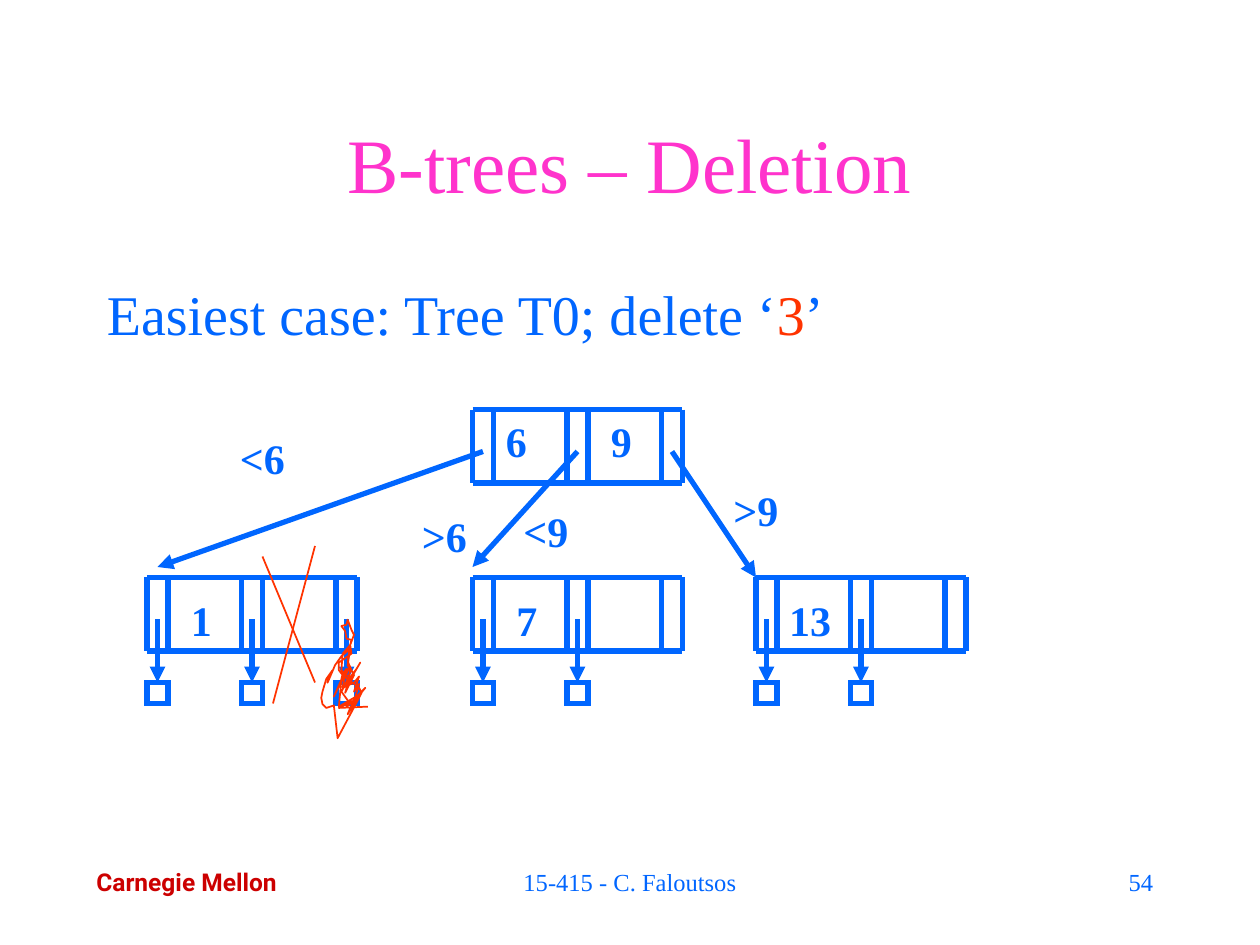
from lxml.etree import SubElement
from pptx import Presentation
from pptx.dml.color import RGBColor
from pptx.enum.shapes import MSO_CONNECTOR, MSO_SHAPE
from pptx.enum.text import MSO_ANCHOR, PP_ALIGN
from pptx.oxml.ns import qn
from pptx.util import Pt

COLORS = {
    "blue": "0066FF",
    "pink": "FF33CC",
    "red": "FF3300",
    "crimson": "CC0000",
    "white": "FFFFFF",
}
SERIF = "Times New Roman"
SEPARATORS = (0, 12, 54, 66, 108, 120)
NODE_WIDTH, NODE_HEIGHT = 120, 42
POINTER_SIZE, POINTER_STEP = 12, 54
SCRIBBLE = [
    (37, 72), (14, 73), (30, 65), (32, 61), (30, 57), (17, 47), (14, 43),
    (14, 37), (24, 30), (23, 23), (24, 19), (20, 18), (19, 12), (16, 8),
    (20, 7), (21, 3), (24, 11), (26, 15), (23, 23), (17, 30), (16, 43), (19, 47),
    (23, 48), (16, 60), (21, 67), (20, 72), (24, 69), (31, 61), (35, 57),
    (31, 62), (14, 72), (16, 50), (20, 46), (23, 40), (16, 50), (17, 46),
    (20, 42), (14, 55), (10, 64), (12, 60), (19, 46), (17, 57), (26, 53),
    (30, 48), (26, 60), (30, 54), (26, 68), (23, 73), (21, 78), (27, 68),
    (32, 60), (30, 65), (13, 97), (10, 71), (4, 73), (1, 70), (0, 65),
    (1, 60), (4, 50), (9, 43), (6, 48), (5, 53), (11, 39), (16, 32),
    (23, 26), (21, 39), (23, 44), (21, 50), (19, 54), (28, 42), (31, 37),
    (21, 54), (19, 61), (26, 47), (24, 43), (21, 36), (23, 23),
]


def rgb(name):
    return RGBColor.from_string(COLORS[name])


def add_text(slide, box, runs, size, align=PP_ALIGN.LEFT, font=SERIF,
             bold=False, wrap=True, anchor=MSO_ANCHOR.TOP):
    frame = slide.shapes.add_textbox(*map(Pt, box)).text_frame
    frame.word_wrap = wrap
    frame.vertical_anchor = anchor
    paragraph = frame.paragraphs[0]
    paragraph.alignment = align
    for words, color in runs:
        run = paragraph.add_run()
        run.text = words
        run.font.size = Pt(size)
        run.font.name = font
        run.font.bold = bold
        run.font.color.rgb = rgb(color)


def add_line(slide, start, end, color="blue", width=3, arrow=False):
    line = slide.shapes.add_connector(MSO_CONNECTOR.STRAIGHT, *map(Pt, (*start, *end)))
    line.line.color.rgb = rgb(color)
    line.line.width = Pt(width)
    if arrow:
        SubElement(line.line._get_or_add_ln(), qn("a:tailEnd"), type="triangle")
    SubElement(line._element.spPr, qn("a:effectLst"))


def add_node(slide, left, top):
    bottom = top + NODE_HEIGHT
    for offset in SEPARATORS:
        add_line(slide, (left + offset, top), (left + offset, bottom))
    for edge in (top, bottom):
        add_line(slide, (left, edge), (left + NODE_WIDTH, edge))


def add_leaf(slide, left, top, pointer_count):
    add_node(slide, left, top)
    record_top = top + 60
    for index in range(pointer_count):
        record_left = left + index * POINTER_STEP
        center = record_left + POINTER_SIZE / 2
        add_line(slide, (center, top + 24), (center, record_top), arrow=True)
        record = slide.shapes.add_shape(
            MSO_SHAPE.RECTANGLE,
            *map(Pt, (record_left, record_top, POINTER_SIZE, POINTER_SIZE)))
        record.shadow.inherit = False
        record.fill.solid()
        record.fill.fore_color.rgb = rgb("white")
        record.line.color.rgb = rgb("blue")
        record.line.width = Pt(3)
        SubElement(record.line._get_or_add_ln(), qn("a:miter"), lim="800000")


def add_tree(slide, left, top):
    root_left = left + 186
    leaf_top = top + 96
    add_node(slide, root_left, top)
    for offset, pointer_count in ((0, 3), (186, 2), (348, 2)):
        add_leaf(slide, left + offset, leaf_top, pointer_count)
    for index, (x, y) in enumerate(((6, 90), (186, 90), (348, 96))):
        pointer = (root_left + 6 + index * POINTER_STEP, top + 24)
        add_line(slide, pointer, (left + x, top + y), arrow=True)
    labels = (
        ("6", 198, 0, 26), ("9", 258, 0, 26),
        ("1", 18, 102, 26), ("7", 204, 102, 26), ("13", 357, 102, 44),
        ("<6", 44, 9.5, 44), (">6", 148, 54, 44),
        ("<9", 206, 51.5, 44), (">9", 326, 39.5, 44),
    )
    for label, x, y, width in labels:
        add_text(slide, (left + x, top + y, width, 36), [(label, "blue")], 24,
                 PP_ALIGN.CENTER, bold=True, wrap=False)


def add_deletion_marks(slide, left, top):
    add_line(slide, (left, top + 6), (left + 30, top + 78), "red", 1)
    add_line(slide, (left + 30, top), (left + 6, top + 90), "red", 1)
    pen = slide.shapes.build_freeform(*SCRIBBLE[0], scale=Pt(0.72))
    pen.add_line_segments(SCRIBBLE[1:], close=False)
    scribble = pen.convert_to_shape(Pt(left + 33.6), Pt(top + 40))
    scribble.shadow.inherit = False
    scribble.fill.background()
    scribble.line.color.rgb = rgb("red")
    scribble.line.width = Pt(1)


def add_heading(slide, left, top, width):
    add_text(slide, (left, top, width, 90), [("B-trees – Deletion", "pink")], 44,
             PP_ALIGN.CENTER, anchor=MSO_ANCHOR.MIDDLE)
    add_text(slide, (left, top + 108, width, 48),
             [("Easiest case: Tree T0; delete ‘", "blue"), ("3", "red"), ("’", "blue")], 32)


def add_footer(slide, left, top):
    add_text(slide, (left, top, 130, 24.5), [("Carnegie Mellon", "crimson")], 14,
             font="Roboto", bold=True, wrap=False)
    add_text(slide, (left + 198, top, 228, 36), [("15-415 - C. Faloutsos", "blue")], 14,
             PP_ALIGN.CENTER)
    add_text(slide, (left + 468, top, 150, 36), [("54", "blue")], 14, PP_ALIGN.RIGHT)


def main():
    presentation = Presentation()
    presentation.slide_width = Pt(720)
    presentation.slide_height = Pt(540)
    slide = presentation.slides.add_slide(presentation.slide_layouts[6])
    add_heading(slide, 54, 48, 612)
    add_tree(slide, 84, 234)
    add_deletion_marks(slide, 150, 312)
    add_footer(slide, 48, 492)
    presentation.save("out.pptx")


if __name__ == "__main__":
    main()
